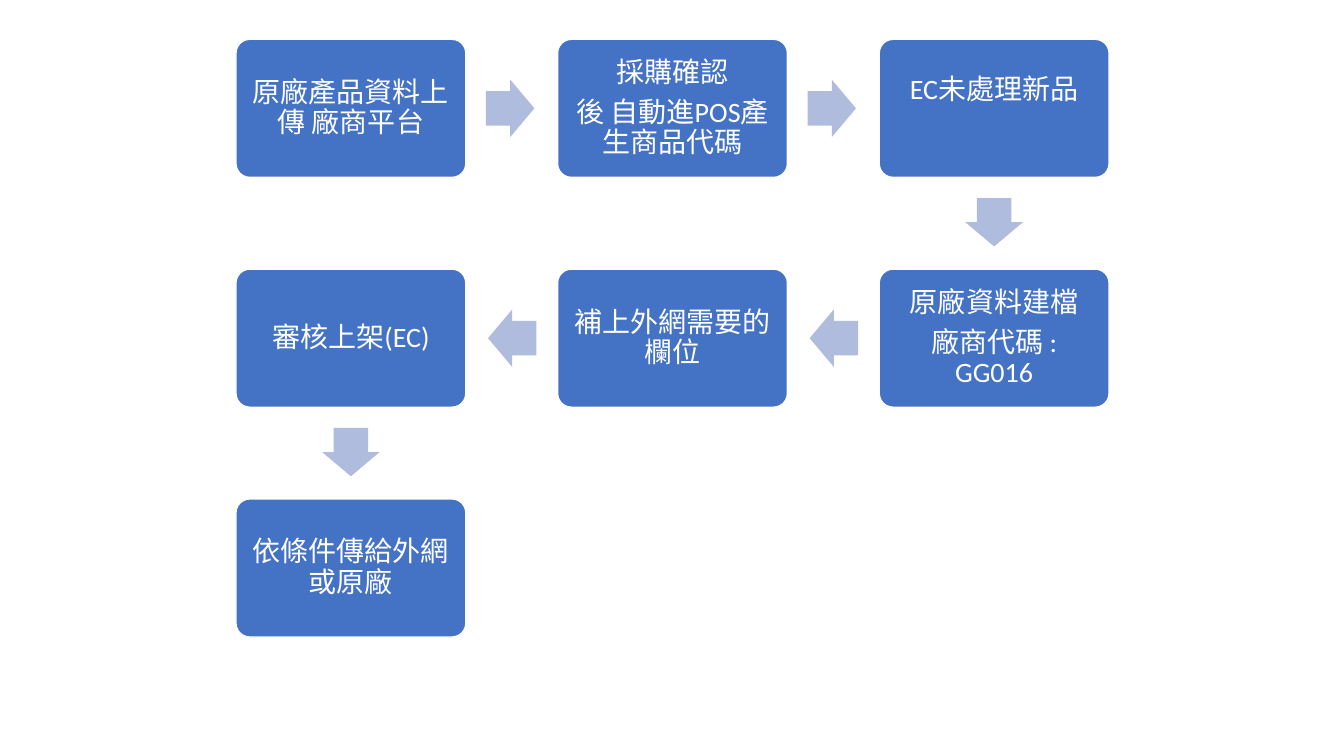
"""Build a one-slide serpentine flow chart of the product listing process."""
from pptx import Presentation
from pptx.dml.color import RGBColor
from pptx.enum.shapes import MSO_SHAPE as Shape
from pptx.enum.text import MSO_ANCHOR as Anchor, PP_ALIGN as Align
from pptx.util import Inches, Pt


def color(value):
    """Turn a hex string into a colour."""
    return RGBColor.from_string(value)


def write(box, lines, size=20, font="Calibri", ink="FFFFFF", inset=0.08, bottom=0.08):
    """Write centred paragraphs into a box."""
    frame = box.text_frame
    frame.word_wrap = True
    frame.vertical_anchor = Anchor.MIDDLE
    frame.margin_left = frame.margin_right = frame.margin_top = Inches(inset)
    frame.margin_bottom = Inches(bottom)
    for index, line in enumerate(lines):
        para = frame.add_paragraph() if index else frame.paragraphs[0]
        para.alignment = Align.CENTER
        para.line_spacing = 0.9
        para.space_after = Pt(0.35 * size)
        span = para.add_run()
        span.text = line
        span.font.size = Pt(size)
        span.font.name = font
        span.font.color.rgb = color(ink)


deck = Presentation()
deck.slide_width, deck.slide_height = Inches(13.33), Inches(7.5)
page = deck.slides.add_slide(deck.slide_layouts[6])

LEFT, TOP, COLUMN_STEP, ROW_STEP, COLUMNS = 2.34, 0.39, 3.19, 2.28, 3
BOX_WIDTH, BOX_HEIGHT = 2.28, 1.37
ARROW_WIDTH, ARROW_HEIGHT = 0.48, 0.57
ARROW_SHIFTS = {0: (1.58, 0), 90: (0, 1.13), 180: (-1.59, 0)}

steps = [
    (["原廠產品資料上傳 廠商平台"], {}),
    (["採購確認", "後 自動進POS產生商品代碼"], {}),
    (["EC未處理新品"], {"bottom": 0.43}),
    (["原廠資料建檔", "廠商代碼 : GG016"], {}),
    (["補上外網需要的欄位"], {}),
    (["審核上架(EC)"], {}),
    (["依條件傳給外網或原廠"], {}),
]

for number, (lines, layout) in enumerate(steps):
    row, place = divmod(number, COLUMNS)
    backwards = row % 2 == 1
    column = COLUMNS - 1 - place if backwards else place
    left, top = LEFT + column * COLUMN_STEP, TOP + row * ROW_STEP

    box = page.shapes.add_shape(
        Shape.ROUNDED_RECTANGLE, Inches(left), Inches(top), Inches(BOX_WIDTH), Inches(BOX_HEIGHT))
    box.adjustments[0] = 0.1
    box.shadow.inherit = False
    box.fill.solid()
    box.fill.fore_color.rgb = color("4472C4")
    box.line.color.rgb = color("FFFFFF")
    box.line.width = Pt(1)
    write(box, lines, **layout)

    if number == len(steps) - 1:
        break
    row_ends = place == COLUMNS - 1
    angle = 90 if row_ends else 180 if backwards else 0
    shift_x, shift_y = ARROW_SHIFTS[angle]
    arrow = page.shapes.add_shape(
        Shape.RIGHT_ARROW,
        Inches(left + (BOX_WIDTH - ARROW_WIDTH) / 2 + shift_x),
        Inches(top + (BOX_HEIGHT - ARROW_HEIGHT) / 2 + shift_y),
        Inches(ARROW_WIDTH), Inches(ARROW_HEIGHT))
    arrow.adjustments[0], arrow.adjustments[1] = 0.6, 0.5
    arrow.rotation = angle
    arrow.shadow.inherit = False
    arrow.fill.solid()
    arrow.fill.fore_color.rgb = color("B0BCDE")
    arrow.line.fill.background()

deck.save("out.pptx")
